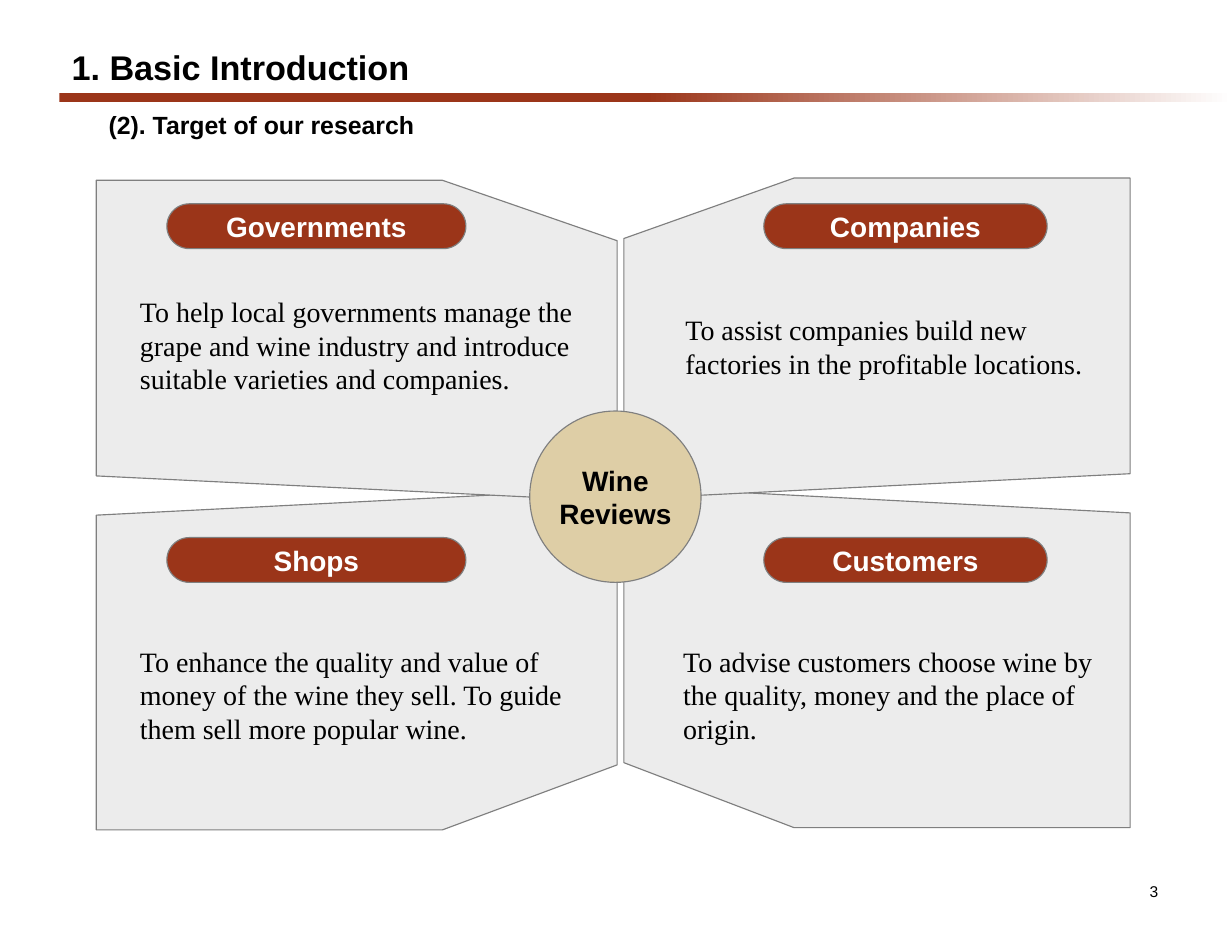
"""Build the slide that shows the four targets of the wine review research."""
from dataclasses import dataclass

import pptx
import pptx.dml.color
import pptx.enum.shapes
import pptx.enum.text
import pptx.util

Inches, Pt = pptx.util.Inches, pptx.util.Pt
SHAPE = pptx.enum.shapes.MSO_SHAPE
ALIGN = pptx.enum.text.PP_ALIGN
ANCHOR = pptx.enum.text.MSO_ANCHOR

RED, TAN, PANEL, GREY = "9B3519", "DECEA6", "ECECEC", "7F7F7F"
BLACK, WHITE = "000000", "FFFFFF"


@dataclass
class Side:
    """One column of panels: outline x values, pill extent and vertical shift."""
    xs: tuple[float, ...]
    pill_left: float
    pill_width: float
    shift: float


@dataclass
class Row:
    """One row of panels: outline y values and pill top."""
    ys: tuple[float, ...]
    pill_top: float


@dataclass
class Target:
    """One audience of the research."""
    side: Side
    row: Row
    name: str
    aim: str
    left: float
    top: float


LEFT = Side((5.51, 5.51, 3.95, 0.86, 0.86, 5.38), 1.49, 2.67, 0)
RIGHT = Side((5.57, 5.57, 7.09, 10.09, 10.09, 5.7), 6.82, 2.53, -0.02)
TOP = Row((3.99, 2.15, 1.61, 1.61, 4.25, 4.47), 1.82)
BOTTOM = Row((4.88, 6.83, 7.41, 7.41, 4.6, 4.37), 4.8)

TARGETS = [
    Target(LEFT, BOTTOM, "Shops", "To enhance the quality and value of money of the wine "
           "they sell. To guide them sell more popular wine.", 1.17, 5.73),
    Target(LEFT, TOP, "Governments", "To help local governments manage the grape and wine "
           "industry and introduce suitable varieties and companies.", 1.17, 2.61),
    Target(RIGHT, BOTTOM, "Customers", "To advise customers choose wine by the quality, "
           "money and the place of origin.", 6.02, 5.73),
    Target(RIGHT, TOP, "Companies", "To assist companies build new factories in the "
           "profitable locations.", 6.04, 2.77),
]


def rgb(color: str) -> pptx.dml.color.RGBColor:
    """Turn a hex string into a colour."""
    return pptx.dml.color.RGBColor.from_string(color)


def paint(sp, fill: str) -> None:
    """Give a shape a flat fill and the thin grey outline."""
    sp.shadow.inherit = False
    sp.fill.solid()
    sp.fill.fore_color.rgb = rgb(fill)
    sp.line.color.rgb = rgb(GREY)
    sp.line.width = Pt(0.75)


def write(sp, text: str, size: float, color: str = BLACK, bold: bool = True,
          font: str = "Arial", align=ALIGN.LEFT, anchor=ANCHOR.TOP,
          margins: tuple[float, float] = (0.08, 0.02)) -> None:
    """Write formatted text into a shape."""
    tf = sp.text_frame
    tf.text = text
    tf.word_wrap = True
    tf.vertical_anchor = anchor
    tf.margin_left = tf.margin_right = Inches(margins[0])
    tf.margin_top = tf.margin_bottom = Inches(margins[1])
    for p in tf.paragraphs:
        p.alignment = align
        p.space_before = Pt(0)
        p.font.name, p.font.size, p.font.bold = font, Pt(size), bold
        p.font.color.rgb = rgb(color)


def place(sp, left: float, top: float, width: float, height: float) -> None:
    """Move and size a placeholder."""
    sp.left, sp.top = Inches(left), Inches(top)
    sp.width, sp.height = Inches(width), Inches(height)


def add_shape(s, kind, left: float, top: float, width: float, height: float):
    """Add a preset shape."""
    return s.shapes.add_shape(kind, Inches(left), Inches(top), Inches(width), Inches(height))


def add_text(s, left: float, top: float, width: float, height: float):
    """Add a text box."""
    return s.shapes.add_textbox(Inches(left), Inches(top), Inches(width), Inches(height))


def add_header(s) -> None:
    """Add the title, the subtitle, the fading rule and the page number."""
    bar = add_shape(s, SHAPE.RECTANGLE, 0.53, 0.83, 10.47, 0.08)
    bar.shadow.inherit = False
    bar.line.fill.background()
    bar.fill.gradient()
    bar.fill.gradient_angle = 0
    for stop, position, color in zip(bar.fill.gradient_stops, (0.5, 1), (RED, WHITE)):
        stop.position = position
        stop.color.rgb = rgb(color)
    title, subtitle = s.placeholders
    place(title, 0.53, 0.36, 4.23, 0.47)
    write(title, "1. Basic Introduction", 22, anchor=ANCHOR.MIDDLE, margins=(0.11, 0.06))
    place(subtitle, 0.86, 0.92, 8.43, 0.4)
    write(subtitle, "(2). Target of our research", 16, margins=(0.11, 0.06))
    write(add_text(s, 9.83, 7.82, 0.59, 0.28), "3", 10, bold=False,
          align=ALIGN.RIGHT, anchor=ANCHOR.MIDDLE)


def add_panel(s, side: Side, row: Row) -> None:
    """Draw the outline of one panel."""
    points = [(Inches(x), Inches(y + side.shift)) for x, y in zip(side.xs, row.ys)]
    builder = s.shapes.build_freeform(*points[0])
    builder.add_line_segments(points[1:], close=True)
    paint(builder.convert_to_shape(), PANEL)


def add_target(s, target: Target) -> None:
    """Add the pill and the aim of one audience."""
    side = target.side
    pill = add_shape(s, SHAPE.ROUNDED_RECTANGLE, side.pill_left, target.row.pill_top,
                     side.pill_width, 0.4)
    pill.adjustments[0] = 0.5
    paint(pill, RED)
    write(pill, target.name, 18, WHITE, align=ALIGN.CENTER, anchor=ANCHOR.MIDDLE)
    write(add_text(s, target.left, target.top, 4.07, 1.59), target.aim, 18,
          bold=False, font="Times New Roman")


def main() -> None:
    """Build and save the slide."""
    prs = pptx.Presentation()
    prs.slide_width, prs.slide_height = Inches(11), Inches(8.5)
    s = prs.slides.add_slide(prs.slide_layouts[0])
    add_header(s)
    for target in TARGETS:
        add_panel(s, target.side, target.row)
    for target in TARGETS:
        add_target(s, target)
    hub = add_shape(s, SHAPE.OVAL, 4.73, 3.67, 1.53, 1.53)
    paint(hub, TAN)
    write(hub, "Wine\nReviews", 18, align=ALIGN.CENTER, anchor=ANCHOR.MIDDLE, margins=(0, 0))
    prs.save("out.pptx")


if __name__ == "__main__":
    main()
